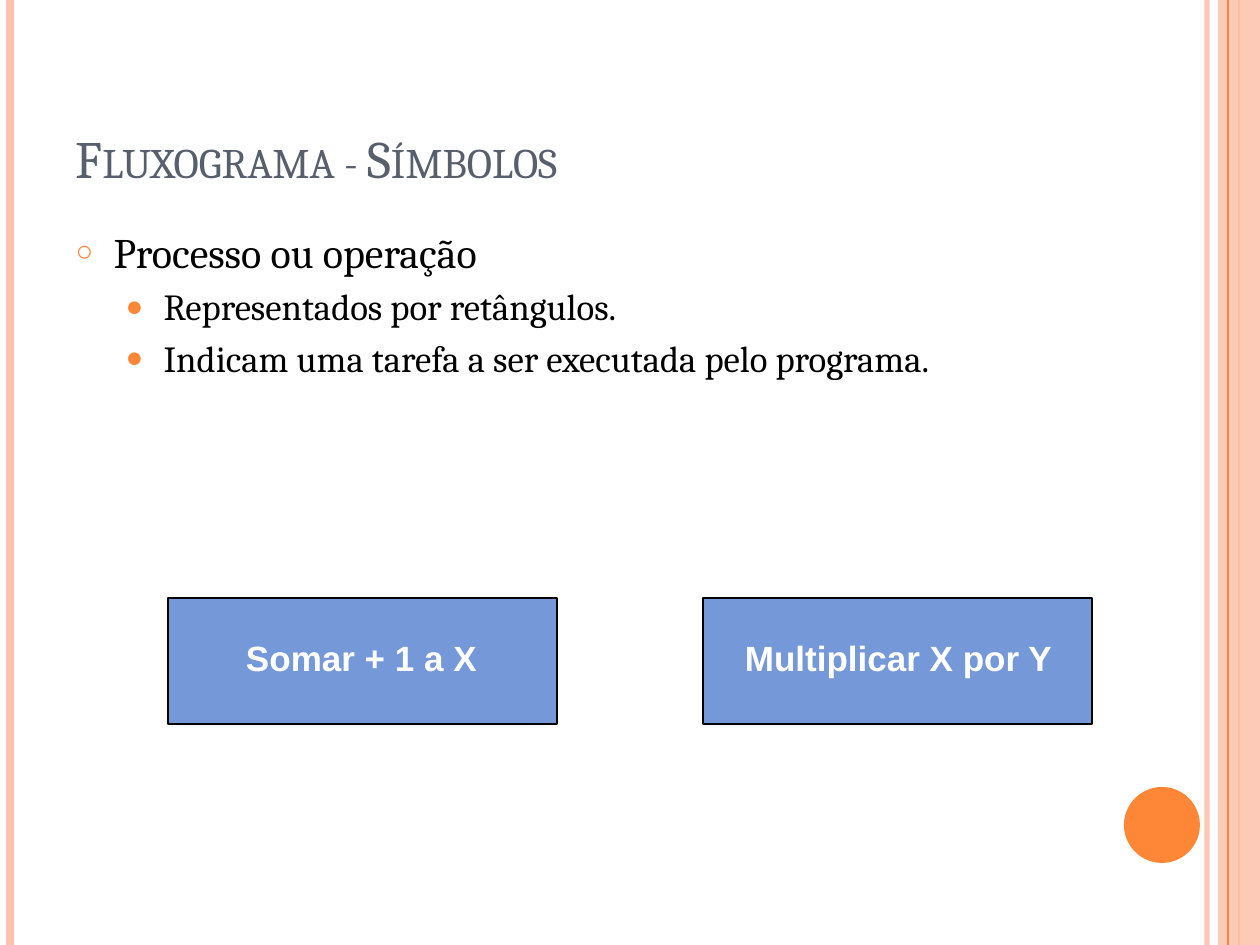
from lxml.etree import SubElement
from pptx import Presentation
from pptx.dml.color import RGBColor
from pptx.enum.shapes import MSO_CONNECTOR, MSO_SHAPE
from pptx.enum.text import MSO_ANCHOR, MSO_AUTO_SIZE, PP_ALIGN
from pptx.oxml.ns import qn
from pptx.util import Pt

PX = 914400 // 126
WIDTH, HEIGHT = 1260, 945
COLORS = {"peach": "FEC3AE", "orange": "FE8637", "slate": "575F6D",
          "blue": "7598D9", "black": "000000", "white": "FFFFFF"}

# Content
TITLE = "Fluxograma - Símbolos"
BULLETS = [(0, "Processo ou operação"),
           (1, "Representados por retângulos."),
           (1, "Indicam uma tarefa a ser executada pelo programa.")]
# size, space before, left indent in px, bullet, bullet size in %
LEVELS = [(24, 6, 38, "○", 70), (21, 4.2, 88, "●", 80)]
HANGING = 38
# box left, label left, label width, label
PROCESSES = [(703, 725, 347, "Multiplicar X por Y"),
             (168, 199, 325, "Somar + 1 a X")]
# x, colour, width in points, opacity in %
BACK_STRIPES = [(1207, "peach", 3, 93), (10, "peach", 4.5, 100),
                (1239, "orange", 1.5, 100)]
FRONT_STRIPES = [(1228, "orange", 0.75, 100)]


def px(*values):
    return [round(value * PX) for value in values]


def rgb(name):
    return RGBColor.from_string(COLORS[name])


def set_opacity(element, percent):
    color = next(element.iter(qn("a:srgbClr")))
    SubElement(color, qn("a:alpha"), val=str(percent * 1000))


def add_stripes(slide, stripes):
    for x, color, width, opacity in stripes:
        stripe = slide.shapes.add_connector(MSO_CONNECTOR.STRAIGHT, *px(x, 0, x, HEIGHT))
        stripe.line.color.rgb = rgb(color)
        stripe.line.width = Pt(width)
        properties = stripe._element.spPr
        if opacity < 100:
            set_opacity(properties, opacity)
        SubElement(properties, qn("a:effectLst"))


def add_filled(slide, kind, box, color, outline=None):
    shape = slide.shapes.add_shape(kind, *px(*box))
    shape.shadow.inherit = False
    shape.fill.solid()
    shape.fill.fore_color.rgb = rgb(color)
    if outline:
        shape.line.color.rgb = rgb(outline)
        shape.line.width = Pt(0.75)
    else:
        shape.line.fill.background()
    return shape


def set_font(paragraph, name, size, color, bold=False):
    font = paragraph.font
    font.name, font.size, font.bold = name, Pt(size), bold
    font.color.rgb = rgb(color)


def place(slide, placeholder, box, anchor):
    placeholder.left, placeholder.top, placeholder.width, placeholder.height = px(*box)
    frame = placeholder.text_frame
    frame.auto_size = MSO_AUTO_SIZE.NONE
    frame.vertical_anchor = anchor
    slide.shapes._spTree.append(placeholder._element)  # in front of the stripes
    return frame


def set_bullet(paragraph, indent, character, percent):
    properties = paragraph._p.get_or_add_pPr()
    properties.set("marL", str(indent * PX))
    properties.set("indent", str(-HANGING * PX))
    color = SubElement(properties, qn("a:buClr"))
    SubElement(color, qn("a:srgbClr"), val=COLORS["orange"])
    SubElement(properties, qn("a:buSzPct"), val=str(percent * 1000))
    SubElement(properties, qn("a:buFont"), typeface="Arial")
    SubElement(properties, qn("a:buChar"), char=character)


def main():
    presentation = Presentation()
    presentation.slide_width, presentation.slide_height = px(WIDTH, HEIGHT)
    slide = presentation.slides.add_slide(presentation.slide_layouts[1])

    # Side stripes and dot
    add_stripes(slide, BACK_STRIPES)
    band = add_filled(slide, MSO_SHAPE.RECTANGLE, (1218, 0, 42, HEIGHT), "peach")
    set_opacity(band._element.spPr, 87)
    add_stripes(slide, FRONT_STRIPES)
    add_filled(slide, MSO_SHAPE.OVAL, (1124, 787, 76, 76), "orange")

    # Title
    frame = place(slide, slide.shapes.title, (63, 38, 1029, 157), MSO_ANCHOR.BOTTOM)
    frame.text = TITLE
    heading = frame.paragraphs[0]
    heading.alignment = PP_ALIGN.LEFT
    set_font(heading, "Cambria", 30, "slate")
    heading.runs[0]._r.get_or_add_rPr().set("cap", "small")

    # Bullet list
    frame = place(slide, slide.placeholders[1], (63, 220, 1029, 672), MSO_ANCHOR.TOP)
    frame.text = "\n".join(text for _, text in BULLETS)
    for paragraph, (level, _) in zip(frame.paragraphs, BULLETS):
        size, space, indent, character, percent = LEVELS[level]
        paragraph.level = level
        paragraph.space_before = Pt(space)
        set_bullet(paragraph, indent, character, percent)
        set_font(paragraph, "Cambria", size, "black")

    # Process boxes, then their labels
    for left, *_ in PROCESSES:
        add_filled(slide, MSO_SHAPE.RECTANGLE, (left, 598, 389, 126), "blue", "black")
    for _, left, width, text in reversed(PROCESSES):
        label = slide.shapes.add_textbox(*px(left, 630, width, 54))
        label.text_frame.word_wrap = True
        label.text_frame.auto_size = MSO_AUTO_SIZE.SHAPE_TO_FIT_TEXT
        label.text_frame.text = text
        paragraph = label.text_frame.paragraphs[0]
        paragraph.alignment = PP_ALIGN.CENTER
        set_font(paragraph, "Arial", 20, "white", bold=True)

    presentation.save("out.pptx")


if __name__ == "__main__":
    main()
